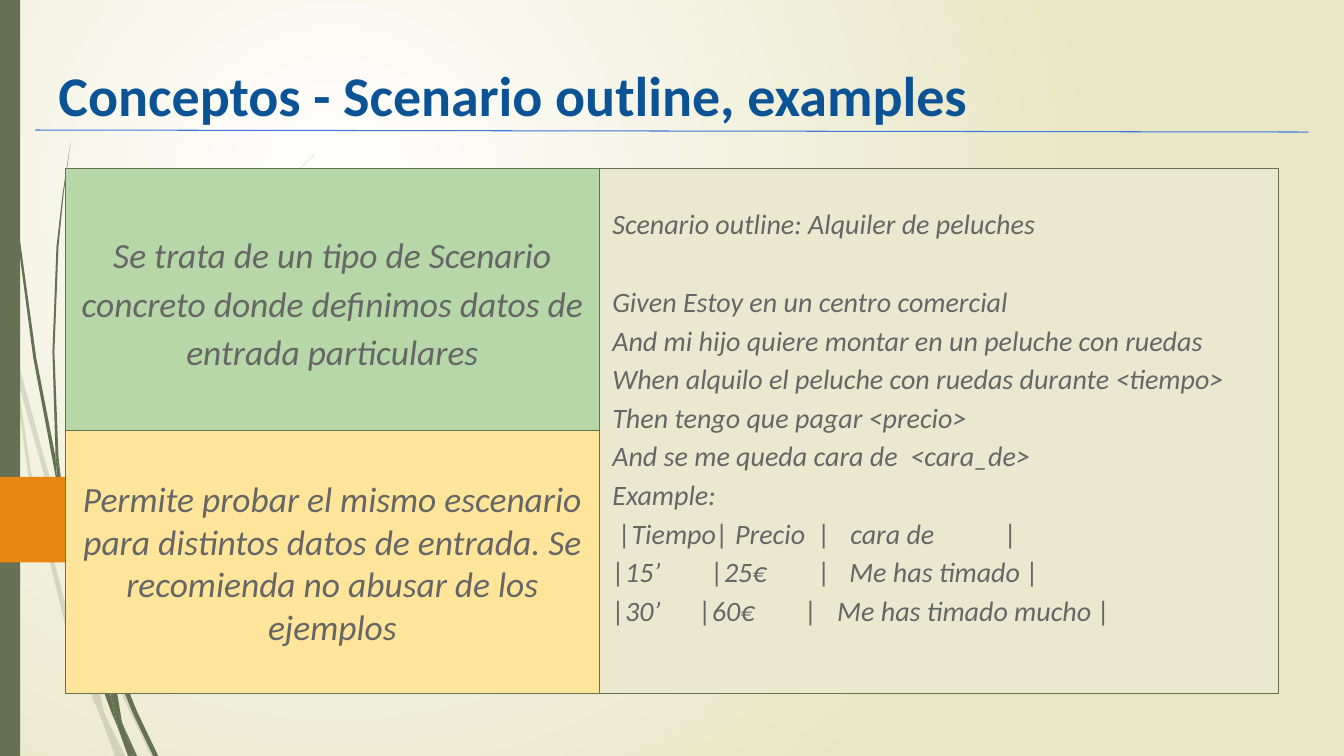
import pptx
import pptx.util
import pptx.oxml.ns
import pptx.dml.color
import pptx.enum.shapes
import pptx.enum.text
import lxml.etree

WIDTH, HEIGHT = 13.33, 7.5
COLORS = {
    "white": "FFFFFF", "cream": "E8E6C4", "olive": "647252", "orange": "E78712",
    "title": "0B5394", "rule": "3C78D8", "text": "666666",
    "code": "EAE8CF", "green": "B6D7A8", "yellow": "FFE599",
}
FAINT_BLADES = [
    [.11, 3.5, .09, 3.22, 0, 2.82, 0, 2.99, .1, 3.44],
    [.58, 5.22, .84, 5.99, .85, 5.86, .62, 5.2, .14, 3.45, .17, 3.76],
    [.92, 6.07, .88, 5.96, .88, 6.1, 1.23, 6.94, 1.5, 7.5, 1.55, 7.5, 1.27, 6.92],
    [1.19, 7.5, 1.24, 7.5, 1.05, 7.11],
    [.93, 6.83, .7, 6.19, .31, 4.69, .17, 3.76, .11, 3.5, .28, 4.7, .65, 6.21, .92, 6.93,
     1.01, 7.14, .99, 7.07],
    [.84, 5.99, .87, 6.46, .93, 6.83, .96, 6.92, 1.05, 7.11, 1.03, 7.06, .91, 6.46, .88, 6.1],
    [.88, 5.84, 1.1, 4.62, 1.6, 3.49, 2.29, 2.45, 2.68, 1.98, 2.9, 1.75, 3.12, 1.54, 3.12, 1.53,
     2.89, 1.75, 2.68, 1.97, 2.28, 2.44, 1.58, 3.48, 1.07, 4.61, .85, 5.84, .88, 5.96],
    [1.01, 7.14, 1.14, 7.5, 1.19, 7.5],
    [.96, 6.92, .93, 6.83, .99, 7.07, 1.01, 7.14, 1.19, 7.5, 1.05, 7.11],
]
DARK_BLADES = [
    [.07, 1.1, .17, 2.33, .33, 3.55, .56, 4.77, .57, 4.81, .55, 4.53, .36, 3.55, .19, 2.32,
     .08, 1.09, .05, .48, .04, 0, .03, 0, .04, .48],
    [.88, 5.92, 1.06, 6.45, 1.06, 6.31, .93, 5.9, .6, 4.72, .64, 5.05],
    [1.13, 6.49, 1.1, 6.41, 1.11, 6.56, 1.32, 7.08, 1.52, 7.5, 1.57, 7.5, 1.36, 7.06],
    [1.1, 6.91, .98, 6.57, .72, 5.56, .64, 5.05, .57, 4.77, .68, 5.57, .93, 6.59, 1.11, 7.08,
     1.17, 7.22, 1.16, 7.17],
    [.6, 4.72, .58, 4.53, .54, 3.49, .58, 2.45, .63, 1.93, .7, 1.41, .62, 1.93, .56, 2.45,
     .52, 3.49, .55, 4.49],
    [1.33, 7.5, 1.36, 7.5, 1.22, 7.19],
    [.57, 4.77, .64, 5.05, .6, 4.72, .55, 4.49, .55, 4.53],
    [1.11, 6.33, 1.25, 5.52, 1.58, 4.76, 2.05, 4.06, 2.31, 3.74, 2.45, 3.59, 2.6, 3.44,
     2.45, 3.58, 2.31, 3.73, 2.04, 4.05, 1.56, 4.74, 1.22, 5.51, 1.06, 6.31, 1.1, 6.41],
    [1.17, 7.22, 1.27, 7.5, 1.31, 7.5],
    [1.06, 6.45, 1.1, 6.91, 1.16, 7.06, 1.22, 7.19, 1.21, 7.16, 1.11, 6.56, 1.09, 6.51],
    [1.16, 7.06, 1.1, 6.91, 1.16, 7.17, 1.17, 7.22, 1.3, 7.5, 1.33, 7.5, 1.22, 7.19],
]
DEFINITION = ["Se trata de un tipo de Scenario concreto donde definimos datos de",
              "entrada particulares"]
ADVICE = ["Permite probar el mismo escenario para distintos datos de entrada. "
          "Se recomienda no abusar de los ejemplos"]
STEPS = [
    "Scenario outline: Alquiler de peluches", "Given Estoy en un centro comercial",
    "And mi hijo quiere montar en un peluche con ruedas",
    "When alquilo el peluche con ruedas durante <tiempo>",
    "Then tengo que pagar <precio>", "And se me queda cara de  <cara_de>", "Example:",
]
EXAMPLES = [
    ([" |Tiempo| Precio", "|", "cara de", "|"], [2.04, 2.36, 3.89]),
    (["|15’", "|25€", "|", "Me has timado |"], [.98, 2.04, 2.35]),
    (["|30’", "|60€", "|", "Me has timado mucho |"], [.86, 1.91, 2.23]),
]

def inches(*lengths):
    """Convert lengths in inches."""
    return [pptx.util.Inches(length) for length in lengths]

def color(name):
    """Look up a named colour."""
    return pptx.dml.color.RGBColor.from_string(COLORS[name])

def add_xml(parent, tag, **attributes):
    """Append a drawing element to a parent."""
    return lxml.etree.SubElement(parent, pptx.oxml.ns.qn(tag), attributes)

def draw_line(line, name):
    """Give a line a thin stroke of a named colour."""
    line.color.rgb = color(name)
    line.width = pptx.util.Pt(.75)

def paint(shape, fill):
    """Give a shape a flat fill without outline or shadow."""
    shape.shadow.inherit = False
    shape.fill.solid()
    shape.fill.fore_color.rgb = color(fill)
    shape.line.fill.background()

def add_blade(page, nodes, opacity):
    """Draw one blade of grass from alternating x and y lengths."""
    lengths = inches(*nodes)
    outline = list(zip(lengths[::2], lengths[1::2]))
    builder = page.shapes.build_freeform(*outline[0])
    builder.add_line_segments(outline[1:], close=True)
    blade = builder.convert_to_shape()
    paint(blade, "olive")
    if opacity < 100:
        tint = blade.fill._xPr.find(".//" + pptx.oxml.ns.qn("a:srgbClr"))
        add_xml(tint, "a:alpha", val=str(opacity * 1000))

def add_backdrop(page):
    """Draw the glow, the grass, the side band and the arrow tab."""
    fill = page.background.fill
    fill.gradient()
    for stop, position, name in zip(fill.gradient_stops, (0, 1), ("white", "cream")):
        stop.position = position
        stop.color.rgb = color(name)
    gradient = fill._xPr.find(pptx.oxml.ns.qn("a:gradFill"))
    gradient.remove(gradient.find(pptx.oxml.ns.qn("a:lin")))
    glow = add_xml(gradient, "a:path", path="circle")
    add_xml(glow, "a:fillToRect", l="50000", t="50000", r="100000", b="100000")
    for blades, opacity in ((FAINT_BLADES, 20), (DARK_BLADES, 100)):
        for nodes in blades:
            add_blade(page, nodes, opacity)
    kinds = pptx.enum.shapes.MSO_SHAPE
    paint(page.shapes.add_shape(kinds.RECTANGLE, *inches(0, 0, .2, HEIGHT)), "olive")
    paint(page.shapes.add_shape(kinds.PENTAGON, *inches(0, 4.73, 1.91, .85)), "orange")

def set_frame(frame, anchor, bottom=.13):
    """Set wrapping, insets and anchor of a text frame."""
    frame.word_wrap = True
    frame.auto_size = pptx.enum.text.MSO_AUTO_SIZE.NONE
    frame.vertical_anchor = anchor
    frame.margin_left = frame.margin_top = frame.margin_right = pptx.util.Inches(.13)
    frame.margin_bottom = pptx.util.Inches(bottom)

def add_paragraph(frame, index, text, size, name, align, spacing):
    """Write one paragraph and return it with its run."""
    para = frame.add_paragraph() if index else frame.paragraphs[0]
    para.alignment = align
    para.line_spacing = spacing
    span = para.add_run()
    span.text = text
    span.font.name = "Calibri"
    span.font.size = pptx.util.Pt(size)
    span.font.color.rgb = color(name)
    return para, span

def add_heading(page, text, left, top, width, height):
    """Place the title and the rule under it."""
    title = page.shapes.title
    title.left, title.top, title.width, title.height = inches(left, top, width, height)
    set_frame(title.text_frame, pptx.enum.text.MSO_ANCHOR.BOTTOM)
    _, span = add_paragraph(title.text_frame, 0, text, 40, "title",
                            pptx.enum.text.PP_ALIGN.LEFT, 1.5)
    span.font.bold = True
    rule = page.shapes.add_connector(
        pptx.enum.shapes.MSO_CONNECTOR.STRAIGHT,
        *inches(left - .1, top + height - .11, left + width + .11, top + height - .09))
    draw_line(rule.line, "rule")
    add_xml(rule._element.spPr, "a:effectLst")

def add_panel(page, box, fill, lines, size, align, spacing, bottom=.13):
    """Draw a filled panel with italic text and return its paragraphs."""
    panel = page.shapes.add_shape(pptx.enum.shapes.MSO_SHAPE.RECTANGLE, *inches(*box))
    paint(panel, fill)
    draw_line(panel.line, "olive")
    set_frame(panel.text_frame, pptx.enum.text.MSO_ANCHOR.MIDDLE, bottom)
    paras = []
    for index, text in enumerate(lines):
        para, span = add_paragraph(panel.text_frame, index, text, size, "text", align, spacing)
        span.font.italic = True
        paras.append(para)
    return paras

def add_panels(page, left, top, width, height):
    """Place the scenario on the right and two stacked notes on the left."""
    aligns = pptx.enum.text.PP_ALIGN
    side, row = width * .44, height / 2
    lines = STEPS + ["\t".join(cells) for cells, _ in EXAMPLES]
    paras = add_panel(page, (left + side, top, width - side, height), "code",
                      lines, 20, aligns.LEFT, 1.15, bottom=.46)
    paras[1].space_before = pptx.util.Pt(28)
    for para, (_, stops) in zip(paras[len(STEPS):], EXAMPLES):
        tabs = add_xml(para._p.get_or_add_pPr(), "a:tabLst")
        for stop in stops:
            add_xml(tabs, "a:tab", pos=str(pptx.util.Inches(stop)), algn="l")
    notes = (("green", DEFINITION, 1.15), ("yellow", ADVICE, 1.0))
    for index, (fill, text, spacing) in enumerate(notes):
        add_panel(page, (left, top + index * row, side, row), fill, text, 25.3,
                  aligns.CENTER, spacing)

def main():
    """Build and save the deck."""
    deck = pptx.Presentation()
    deck.slide_width, deck.slide_height = inches(WIDTH, HEIGHT)
    page = deck.slides.add_slide(deck.slide_layouts[5])
    add_backdrop(page)
    add_heading(page, "Conceptos - Scenario outline, examples", .45, .2, 12.42, 1.2)
    add_panels(page, .65, 1.67, 12.03, 5.21)
    deck.save("out.pptx")

if __name__ == "__main__":
    main()
